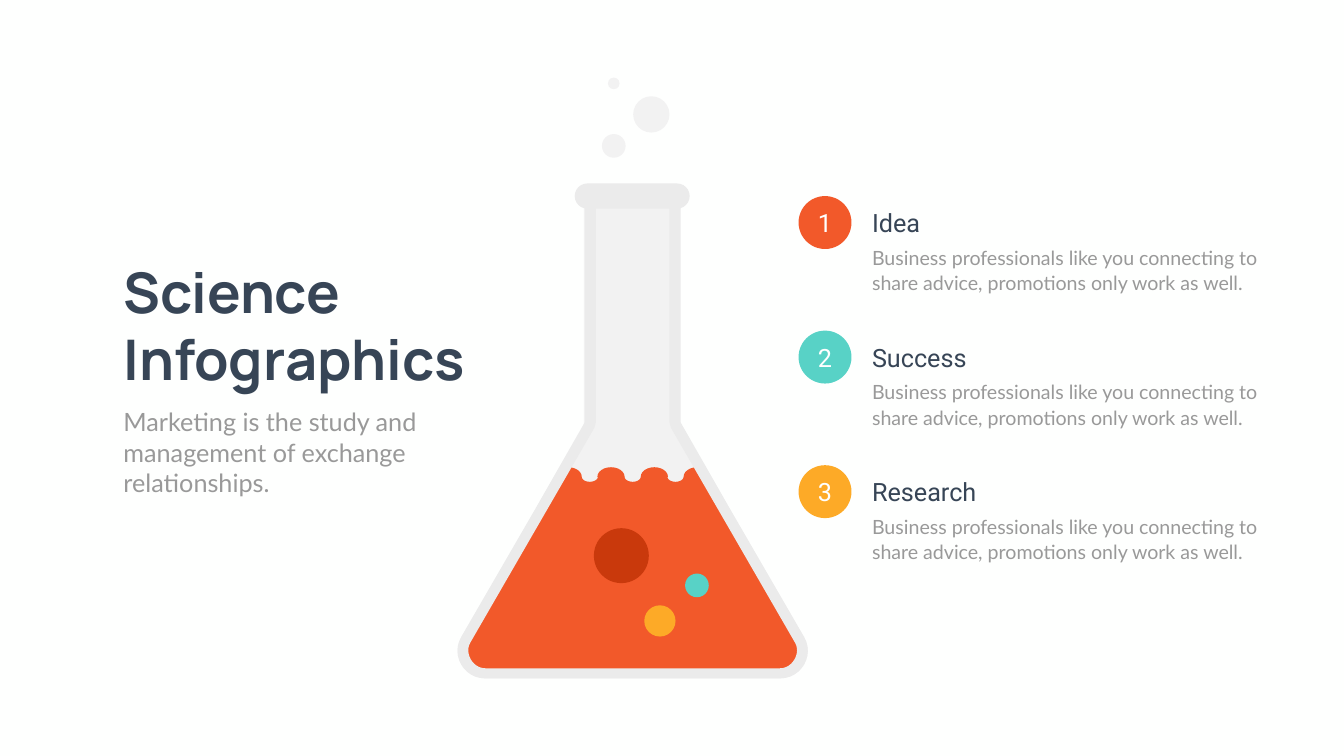
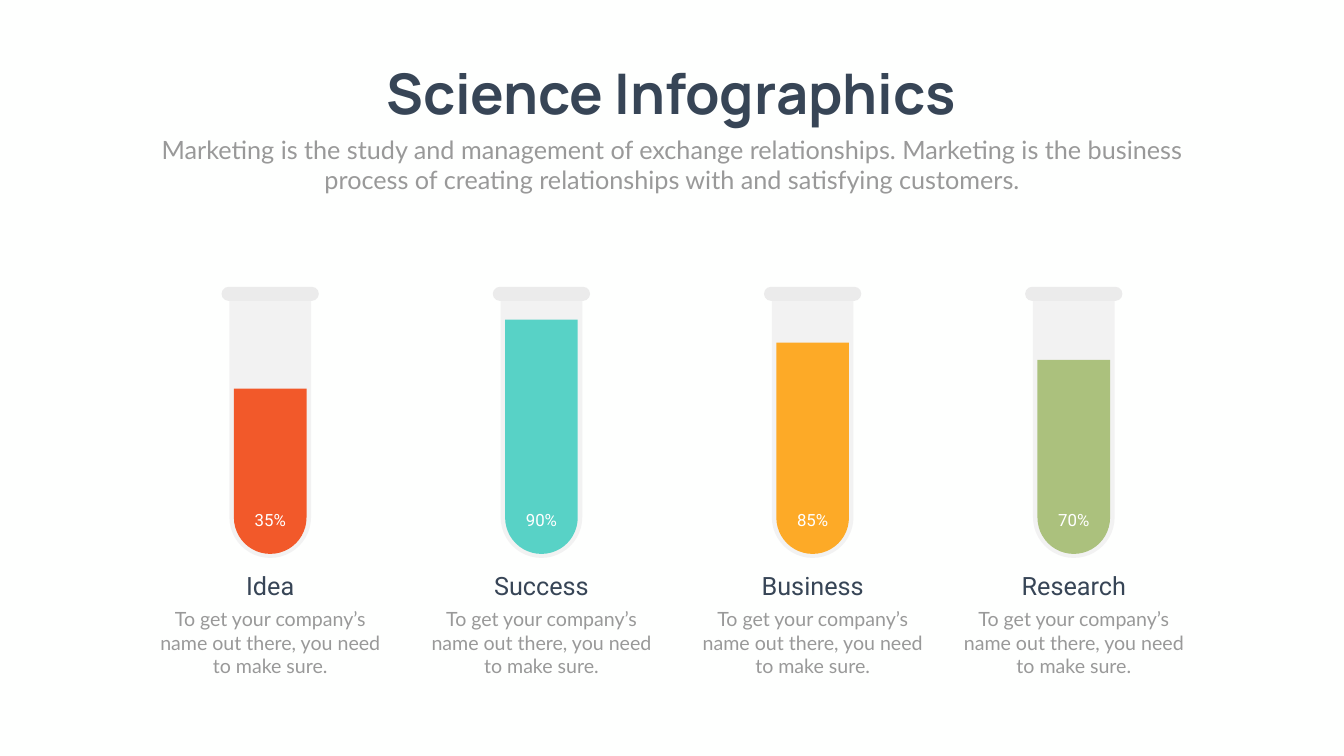
from math import cos, sin, radians

from pptx import Presentation
from pptx.dml.color import RGBColor
from pptx.enum.shapes import MSO_SHAPE
from pptx.enum.text import MSO_ANCHOR, MSO_AUTO_SIZE, PP_ALIGN
from pptx.util import Inches, Pt

# Slide grid: columns and rows of one inch
COLUMNS, ROWS = 26.66, 15

COLOURS = {
    "background": "FEFFFE", "ink": "374556", "grey": "999999", "white": "FFFFFF",
    "glass": "F2F2F2", "rim": "EBEBEB", "orange": "F2592A", "rust": "C9390C",
    "teal": "58D2C6", "amber": "FDAA27", "green": "ABC17D",
}
STYLES = {
    "title": ("ink", {"name": "Manrope", "size": Pt(80), "bold": True}),
    "subtitle": ("grey", {"name": "Lato", "size": Pt(36)}),
    "heading": ("ink", {"name": "Roboto", "size": Pt(36)}),
    "body": ("grey", {"name": "Lato", "size": Pt(28)}),
    "number": ("white", {"name": "Roboto", "size": Pt(36)}),
    "percent": ("white", {"name": "Roboto", "size": Pt(24)}),
}


def add_shape(slide, kind, box, colour, adjustments=()):
    shape = slide.shapes.add_shape(kind, *[Inches(length) for length in box])
    shape.shadow.inherit = False
    shape.fill.solid()
    shape.fill.fore_color.rgb = RGBColor.from_string(COLOURS[colour])
    shape.line.fill.background()
    for index, value in enumerate(adjustments):
        shape.adjustments[index] = value
    return shape


def write(shape, text, style, align=PP_ALIGN.LEFT, box=None, **frame_format):
    if box:
        shape.left, shape.top, shape.width, shape.height = [Inches(length) for length in box]
    frame = shape.text_frame
    settings = {"word_wrap": True, "vertical_anchor": MSO_ANCHOR.TOP,
                "auto_size": MSO_AUTO_SIZE.NONE, **frame_format}
    for name, value in settings.items():
        setattr(frame, name, value)
    frame.text = text
    paragraph = frame.paragraphs[0]
    paragraph.alignment = align
    colour, font_format = STYLES[style]
    font = paragraph.runs[0].font
    for name, value in font_format.items():
        setattr(font, name, value)
    font.color.rgb = RGBColor.from_string(COLOURS[colour])
    return paragraph


presentation = Presentation()
presentation.slide_width = Inches(COLUMNS)
presentation.slide_height = Inches(ROWS)
flask_slide, tube_slide = [
    presentation.slides.add_slide(presentation.slide_layouts[5]) for _ in range(2)]
for slide in (flask_slide, tube_slide):
    slide.background.fill.solid()
    slide.background.fill.fore_color.rgb = RGBColor.from_string(COLOURS["background"])

# Slide 1: title and subtitle
write(flask_slide.shapes.title, "Science Infographics", "title", box=(2.35, 5.06, 8.42, 4.14))
write(flask_slide.shapes.add_textbox(0, 0, 0, 0),
      "Marketing is the study and management of exchange relationships.",
      "subtitle", box=(2.35, 8.02, 7.84, 1.92))

# Liquid surface, from the flask's axis outwards: centre, half width, height, angles
wave = []
for centre, half_width, height, start, end in (
        (0, 0.16, 0.1, 90, 180), (0.43, 0.27, -0.19, 0, 180),
        (0.85, 0.16, 0.1, 0, 180), (1.28, 0.27, -0.19, 0, 90)):
    for angle in range(start, end + 1, 15):
        wave.append((centre - half_width * cos(radians(angle)),
                     9.46 + height * sin(radians(angle))))

# Right half of each flask part: distance from the axis and height on the slide,
# then the curved bottom corner as two control points and an end point
FLASK_AXIS = 12.55
outer_corner = [(3.61, 13), (3.35, 13.46), (2.92, 13.46)]
half_profiles = {
    "body": ([(0, 6.74), (1.93, 10.1), (3.4, 12.64)], outer_corner),
    "liquid": (wave + [(1.57, 9.56), (1.85, 10.1), (3.25, 12.63)],
               [(3.45, 13), (3.2, 13.45), (2.8, 13.45)]),
    "outer wall": ([(0.95, 3.82), (0.95, 8.38), (1.93, 10.1), (3.4, 12.64)], outer_corner),
    "inner wall": ([(0.73, 4.02), (0.73, 8.38), (0.76, 8.49), (3.22, 12.75)],
                   [(3.34, 12.95), (3.18, 13.26), (2.92, 13.26)]),
}
contours = {}
for part, (points, corner) in half_profiles.items():
    controls = [points[-1]] + corner
    half = list(points)
    for step in range(1, 13):
        t = step / 12
        weights = ((1 - t) ** 3, 3 * t * (1 - t) ** 2, 3 * t * t * (1 - t), t ** 3)
        half.append(tuple(sum(weight * control[axis] for weight, control in zip(weights, controls))
                          for axis in (0, 1)))
    mirrored = [(-x, y) for x, y in reversed(half)]
    contours[part] = [(Inches(FLASK_AXIS + x), Inches(y)) for x, y in half + mirrored]

# Flask: neck, body, liquid and the wall around them
add_shape(flask_slide, MSO_SHAPE.RECTANGLE, (11.58, 3.82, 1.9, 4.69), "glass")
for parts, colour in ((["body"], "glass"), (["liquid"], "orange"),
                      (["outer wall", "inner wall"], "rim")):
    first = contours[parts[0]]
    builder = flask_slide.shapes.build_freeform(*first[0])
    builder.add_line_segments(first[1:], close=True)
    for part in parts[1:]:
        builder.move_to(*contours[part][0])
        builder.add_line_segments(contours[part][1:], close=True)
    outline = builder.convert_to_shape()
    outline.shadow.inherit = False
    outline.fill.solid()
    outline.fill.fore_color.rgb = RGBColor.from_string(COLOURS[colour])
    outline.line.fill.background()
add_shape(flask_slide, MSO_SHAPE.ROUNDED_RECTANGLE, (11.4, 3.64, 2.28, 0.5), "rim", [0.5])

# Bubbles in and above the flask
for left, top, diameter, colour in (
        (12.78, 12.01, 0.62, "amber"), (13.59, 11.38, 0.47, "teal"),
        (11.78, 10.48, 1.09, "rust"), (11.94, 2.66, 0.47, "glass"),
        (12.56, 1.91, 0.72, "glass"), (12.06, 1.54, 0.23, "glass")):
    add_shape(flask_slide, MSO_SHAPE.OVAL, (left, top, diameter, diameter), colour)

# Numbered list
LIST_TOP, LIST_STEP = 3.89, 2.67
for index, (heading, colour) in enumerate(
        (("Idea", "orange"), ("Success", "teal"), ("Research", "amber"))):
    top = LIST_TOP + index * LIST_STEP
    paragraph = write(
        flask_slide.shapes.add_textbox(0, 0, 0, 0),
        "Business professionals like you connecting to share advice, promotions only work as well.",
        "body", box=(17.2, top + 0.89, 8.24, 1.09))
    paragraph.line_spacing = Pt(36.6)
    write(flask_slide.shapes.add_textbox(0, 0, 0, 0), heading, "heading",
          box=(17.2, top + 0.18, 3.26, 0.71))
    badge = add_shape(flask_slide, MSO_SHAPE.OVAL, (15.84, top, 1.05, 1.05), colour)
    write(badge, str(index + 1), "number", PP_ALIGN.CENTER,
          vertical_anchor=MSO_ANCHOR.MIDDLE, word_wrap=False)

# Slide 2: title and subtitle
write(tube_slide.shapes.title, "Science Infographics", "title", PP_ALIGN.CENTER,
      box=(7.16, 1.12, 12.33, 1.45), word_wrap=False)
write(tube_slide.shapes.add_textbox(0, 0, 0, 0),
      "Marketing is the study and management of exchange relationships. Marketing is the "
      "business process of creating relationships with and satisfying customers.",
      "subtitle", PP_ALIGN.CENTER, box=(2.92, 2.61, 20.82, 1.31))

# Test tubes: centre, liquid top, colour, share and heading
for centre, liquid_top, colour, share, heading in (
        (5.36, 7.71, "orange", "35%", "Idea"), (10.74, 6.34, "teal", "90%", "Success"),
        (16.12, 6.8, "amber", "85%", "Business"), (21.3, 7.14, "green", "70%", "Research")):
    for kind, width, top, bottom, fill, adjustments in (
            (MSO_SHAPE.ROUND_2_SAME_RECTANGLE, 1.62, 5.97, 11.07, "glass", (0, 0.5)),
            (MSO_SHAPE.ROUND_2_SAME_RECTANGLE, 1.44, liquid_top, 10.99, colour, (0, 0.5)),
            (MSO_SHAPE.ROUNDED_RECTANGLE, 1.93, 5.69, 5.97, "rim", (0.5,))):
        add_shape(tube_slide, kind, (centre - width / 2, top, width, bottom - top),
                  fill, adjustments)
    for text, style, width, top, height in (
            (heading, "heading", 4.99, 11.27, 0.71),
            ("To get your company’s name out there, you need to make sure.",
             "body", 4.99, 12, 1.51),
            (share, "percent", 2.55, 10.07, 0.5)):
        write(tube_slide.shapes.add_textbox(0, 0, 0, 0), text, style, PP_ALIGN.CENTER,
              box=(centre - width / 2, top, width, height))

presentation.save("out.pptx")
